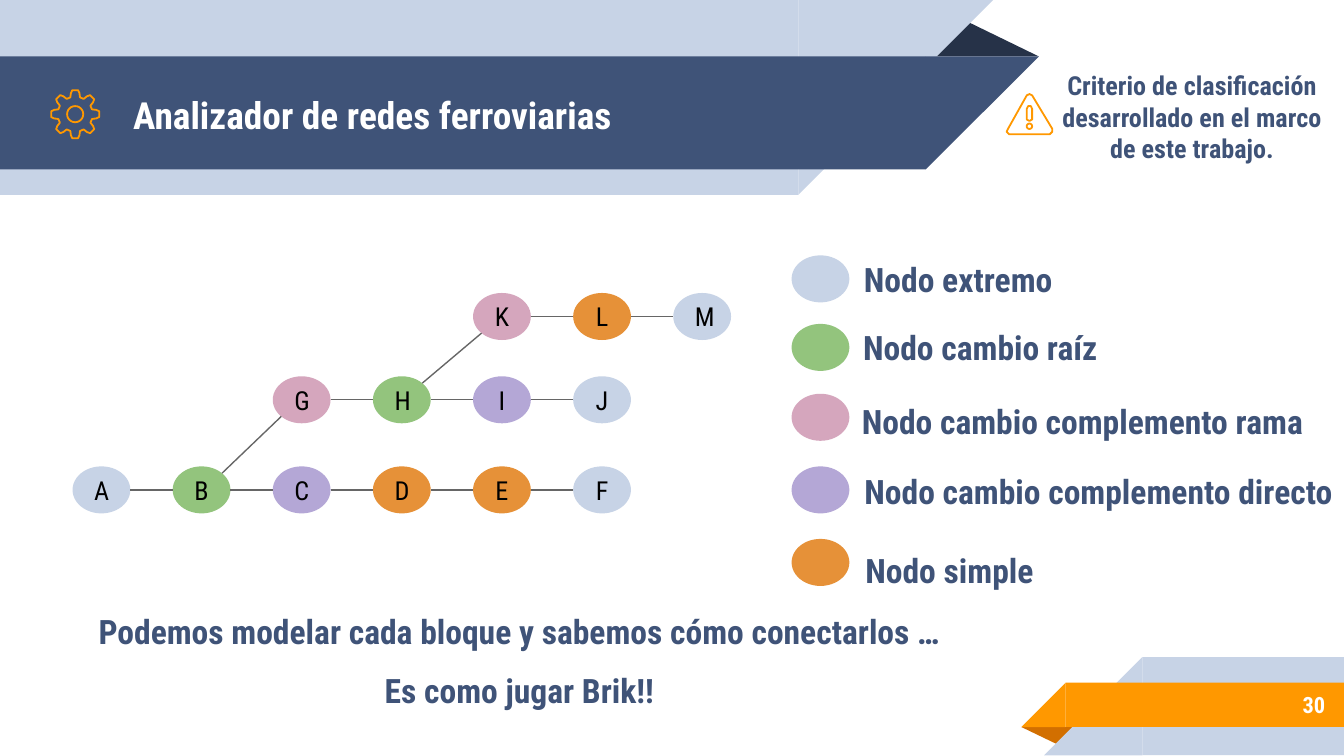
import math
from dataclasses import dataclass

import lxml.etree
import pptx
import pptx.dml.color
import pptx.enum.shapes
import pptx.enum.text
import pptx.oxml.ns
import pptx.util

Inches = pptx.util.Inches
MSO_SHAPE = pptx.enum.shapes.MSO_SHAPE
PP_ALIGN = pptx.enum.text.PP_ALIGN
qn = pptx.oxml.ns.qn


@dataclass(frozen=True)
class Theme:
    font: str = "Roboto Condensed"
    navy: str = "3F5378"
    dark: str = "263248"
    pale: str = "C7D3E6"
    orange: str = "FF9800"
    rust: str = "D26F00"
    white: str = "FFFFFF"
    black: str = "000000"
    edge: str = "666666"
    root: str = "93C47D"
    branch: str = "D5A6BD"
    direct: str = "B4A7D6"
    simple: str = "E69138"
    title: int = 20
    body: int = 18
    small: int = 14
    number: int = 12


T = Theme()
NODE_W, NODE_H = 0.43, 0.35
NODE_LEFT, NODE_STEP = 0.54, 4.47 / 6
LEFT, LOWER_LEFT, RIGHT, UPPER_RIGHT = 2, 3, 6, 7

TRACKS = [
    (3.47, 0, [("A", T.pale), ("B", T.root), ("C", T.direct),
               ("D", T.simple), ("E", T.simple), ("F", T.pale)]),
    (2.8, 2, [("G", T.branch), ("H", T.root), ("I", T.direct), ("J", T.pale)]),
    (2.18, 4, [("K", T.branch), ("L", T.simple), ("M", T.pale)]),
]
BRANCHES = [("B", "G"), ("H", "K")]

LEGEND = [
    (T.pale, 1.9, "Nodo extremo", (6.25, 1.71, 1.76, 0.73)),
    (T.root, 2.41, "Nodo cambio raíz", (6.31, 2.22, 1.97, 0.73)),
    (T.branch, 2.93, "Nodo cambio complemento rama", (6.31, 2.77, 3.49, 0.73)),
    (T.direct, 3.47, "Nodo cambio complemento directo", (6.31, 3.29, 3.73, 0.73)),
    (T.simple, 4.01, "Nodo simple", (6.15, 3.88, 1.83, 0.73)),
]


def rgb(color):
    return pptx.dml.color.RGBColor.from_string(color)


def write(sp, lines, size, color, align=PP_ALIGN.CENTER, bold=True, gap=0):
    tf = sp.text_frame
    tf.word_wrap = True
    tf.auto_size = pptx.enum.text.MSO_AUTO_SIZE.NONE
    tf.vertical_anchor = pptx.enum.text.MSO_ANCHOR.MIDDLE
    tf.margin_left = tf.margin_right = tf.margin_top = tf.margin_bottom = Inches(0.1)
    for i, line in enumerate(lines):
        p = tf.add_paragraph() if i else tf.paragraphs[0]
        p.text = line
        p.alignment = align
        if i:
            p.space_before = pptx.util.Pt(gap)
        p.font.name = T.font
        p.font.size = pptx.util.Pt(size)
        p.font.bold = bold
        p.font.color.rgb = rgb(color)


def add_text(s, box, lines, size, color=T.navy, **style):
    sp = s.shapes.add_textbox(*map(Inches, box))
    write(sp, lines, size, color, **style)


def add_shape(s, kind, box, color, flip=None, rotation=0):
    sp = s.shapes.add_shape(kind, *map(Inches, box))
    sp.shadow.inherit = False
    sp.fill.solid()
    sp.fill.fore_color.rgb = rgb(color)
    sp.line.fill.background()
    sp.rotation = rotation
    if flip:
        sp._element.spPr.find(qn("a:xfrm")).set(flip, "1")
    return sp


def add_fold(s, box, color, rotation=0):
    sp = add_shape(s, MSO_SHAPE.ISOSCELES_TRIANGLE, box, color, rotation=rotation)
    sp.adjustments[0] = 0.324


def add_header_band(s, top, width, height, color):
    add_shape(s, MSO_SHAPE.RECTANGLE, (0, top, width, height), color)
    add_shape(s, MSO_SHAPE.RIGHT_TRIANGLE, (width, top, height, height), color, "flipV")


def add_footer_band(s, left, top, height, color):
    add_shape(s, MSO_SHAPE.RECTANGLE, (left, top, 10 - left, height), color)
    add_shape(s, MSO_SHAPE.RIGHT_TRIANGLE, (left - height, top, height, height),
              color, "flipH")


def add_node(s, left, top, color, label=None):
    sp = add_shape(s, MSO_SHAPE.OVAL, (left, top, NODE_W, NODE_H), color)
    if label:
        write(sp, [label], T.small, T.black, bold=False)
    return sp


def site_point(sp, site):
    angle = math.pi / 2 + site * math.pi / 4
    return (int(sp.left + sp.width / 2 * (1 + math.cos(angle))),
            int(sp.top + sp.height / 2 * (1 - math.sin(angle))))


def add_edge(s, start, end, start_site, end_site):
    cxn = s.shapes.add_connector(
        pptx.enum.shapes.MSO_CONNECTOR.STRAIGHT,
        *site_point(start, start_site), *site_point(end, end_site))
    cxn.line.color.rgb = rgb(T.edge)
    cxn.line.width = pptx.util.Pt(0.75)
    lxml.etree.SubElement(cxn._element.spPr, qn("a:effectLst"))
    joins = cxn._element.nvCxnSpPr.cNvCxnSpPr
    for tag, sp, site in (("a:stCxn", start, start_site), ("a:endCxn", end, end_site)):
        lxml.etree.SubElement(joins, qn(tag), id=str(sp.shape_id), idx=str(site))


def add_icon(s, contours):
    paths = [[(Inches(x), Inches(y)) for x, y in c] for c in contours]
    builder = s.shapes.build_freeform(*paths[0][0])
    for i, points in enumerate(paths):
        if i:
            builder.move_to(*points[0])
        builder.add_line_segments(points[1:], close=True)
    sp = builder.convert_to_shape()
    sp.shadow.inherit = False
    sp.fill.background()
    sp.line.color.rgb = rgb(T.orange)
    sp.line.width = pptx.util.Pt(0.96)


def polar(cx, cy, radius, angle):
    return cx + radius * math.cos(angle), cy + radius * math.sin(angle)


def circle(cx, cy, radius, count=24):
    return [polar(cx, cy, radius, 2 * math.pi * i / count) for i in range(count)]


def add_gear(s, cx, cy):
    tooth = [(-0.28, 0.13), (-0.2, 0.16), (-0.12, 0.18),
             (0.12, 0.18), (0.2, 0.16), (0.28, 0.13)]
    rim = [polar(cx, cy, radius, i * math.pi / 4 + turn)
           for i in range(8) for turn, radius in tooth]
    add_icon(s, [rim, circle(cx, cy, 0.06)])


def add_warning(s):
    sign = [(7.83, 0.96), (7.68, 0.71), (7.66, 0.7), (7.64, 0.71), (7.5, 0.96),
            (7.49, 0.98), (7.51, 1), (7.81, 1), (7.83, 0.98)]
    bar = [(7.68, 0.81), (7.68, 0.89), (7.66, 0.9), (7.64, 0.89),
           (7.64, 0.81), (7.65, 0.79), (7.67, 0.79)]
    add_icon(s, [sign, circle(7.66, 0.94, 0.02), bar])


def add_title(s, text):
    sp = s.shapes.title
    sp.left, sp.top, sp.width, sp.height = map(Inches, (0.89, 0.43, 6.01, 0.84))
    write(sp, [text], T.title, T.white, align=PP_ALIGN.LEFT)
    s.shapes._spTree.append(sp._element)


def add_network(s):
    nodes = {}
    for top, first, track in TRACKS:
        for i, (label, color) in enumerate(track, first):
            nodes[label] = add_node(s, NODE_LEFT + i * NODE_STEP, top, color, label)
        for (a, _), (b, _) in zip(track, track[1:]):
            add_edge(s, nodes[a], nodes[b], RIGHT, LEFT)
    for a, b in BRANCHES:
        add_edge(s, nodes[a], nodes[b], UPPER_RIGHT, LOWER_LEFT)


def main():
    prs = pptx.Presentation()
    prs.slide_width = Inches(10)
    prs.slide_height = prs.slide_width * 9 // 16
    s = prs.slides.add_slide(prs.slide_layouts[5])
    add_fold(s, (6.88, 0.14, 0.85, 0.28), T.dark)
    add_header_band(s, 0, 5.94, 1.45, T.pale)
    add_header_band(s, 0.42, 6.89, 0.84, T.navy)
    add_fold(s, (7.6, 5.41, 0.43, 0.14), T.rust, rotation=180)
    add_footer_band(s, 8.5, 4.89, 0.73, T.pale)
    add_footer_band(s, 7.93, 5.08, 0.33, T.orange)
    add_title(s, "Analizador de redes ferroviarias")
    add_text(s, (8.33, 5.07, 1.63, 0.35), ["30"], T.number, T.white, align=PP_ALIGN.RIGHT)
    add_gear(s, 0.56, 0.85)
    add_network(s)
    for color, top, label, box in LEGEND:
        add_node(s, 5.89, top, color)
        add_text(s, box, [label], T.body)
    add_text(s, (0.59, 4.55, 6.55, 0.73),
             ["Podemos modelar cada bloque y sabemos cómo conectarlos …",
              "Es como jugar Brik!!"], T.body, gap=10)
    add_text(s, (7.74, 0.54, 2.26, 0.66),
             ["Criterio de clasificación desarrollado en el marco de este trabajo."], T.small)
    add_warning(s)
    prs.save("out.pptx")


if __name__ == "__main__":
    main()
